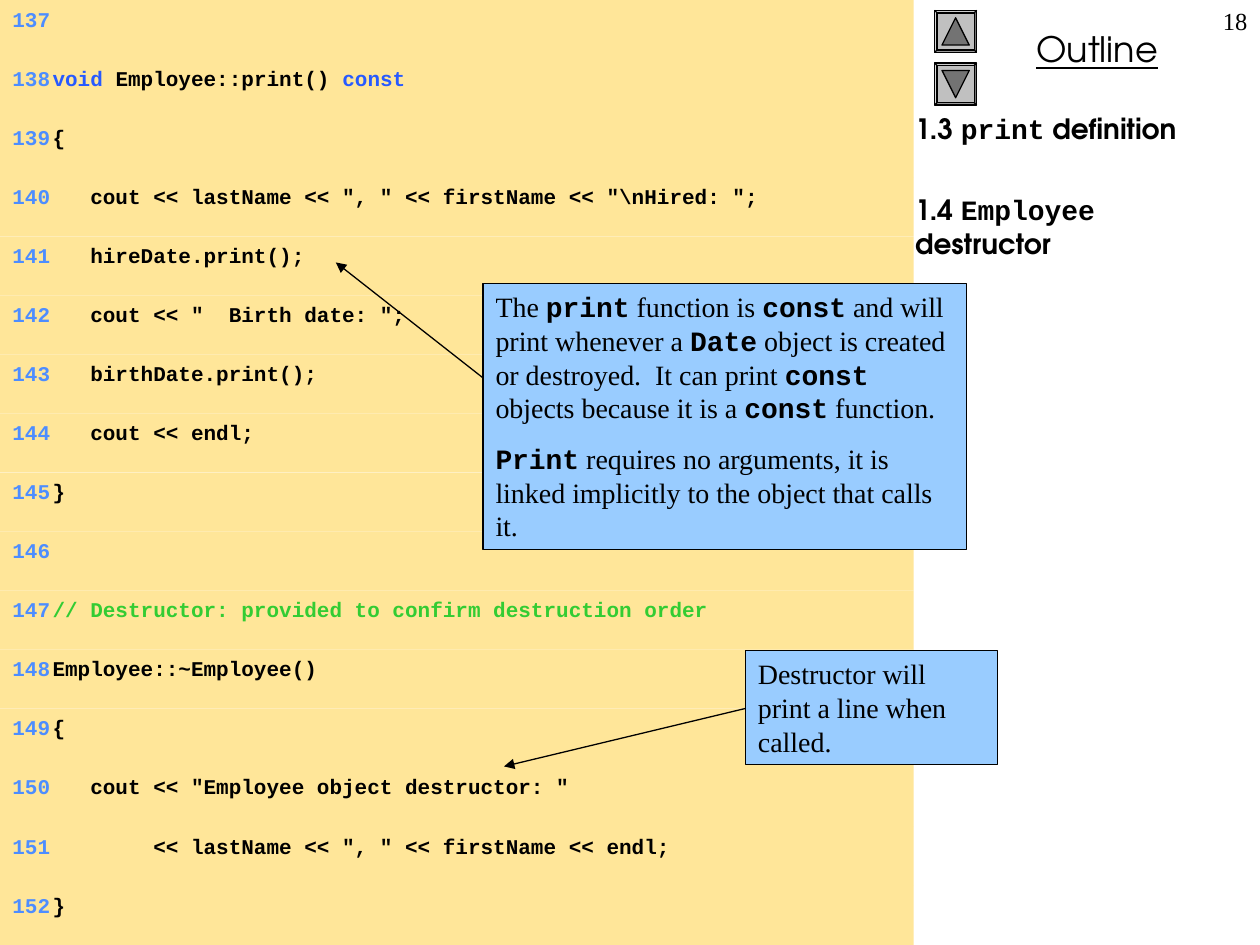
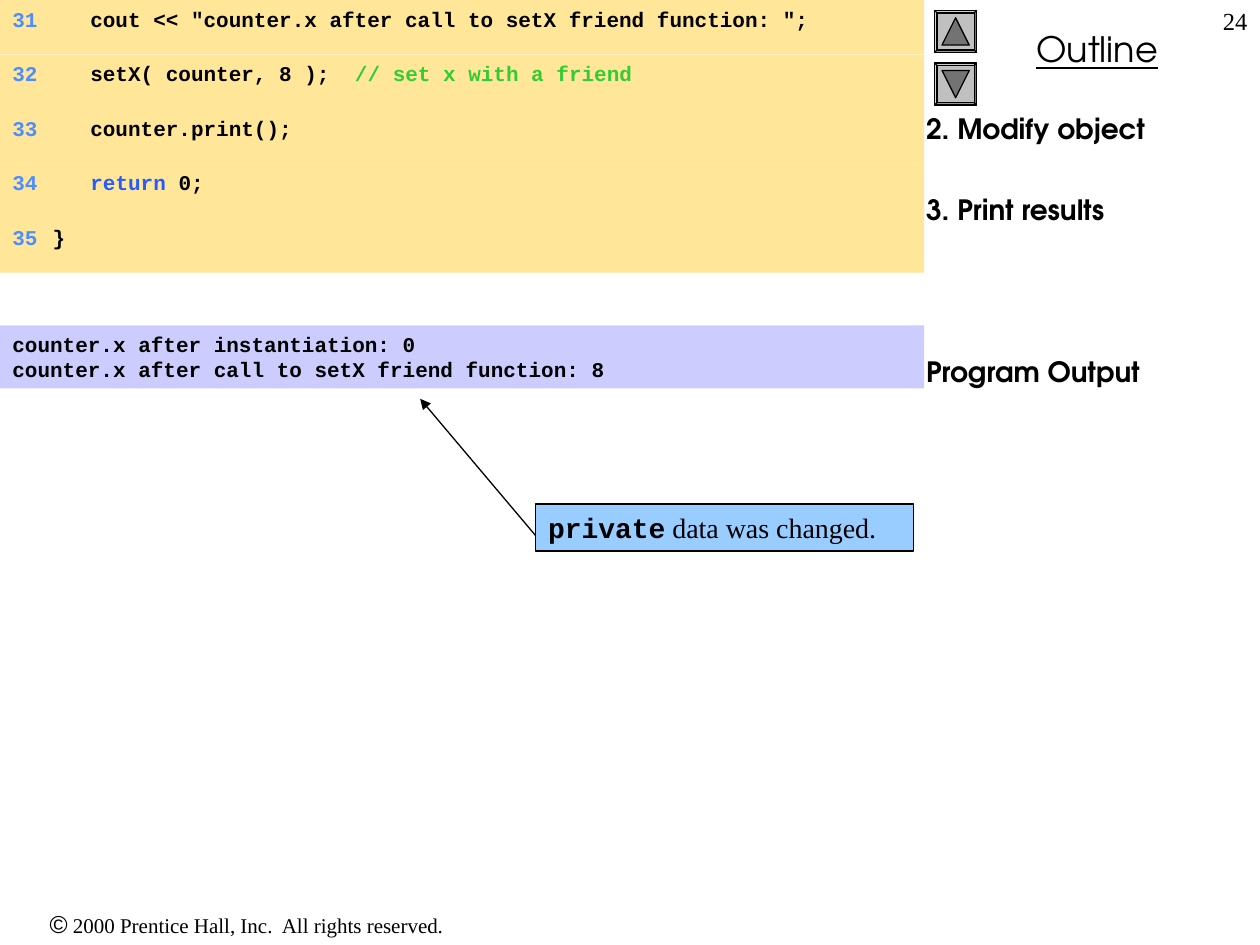
from dataclasses import dataclass, replace

from lxml.etree import SubElement
from pptx import Presentation
from pptx.dml.color import RGBColor
from pptx.enum.shapes import MSO_CONNECTOR, MSO_SHAPE as Shape
from pptx.enum.text import MSO_ANCHOR, MSO_AUTO_SIZE, PP_ALIGN as Align
from pptx.oxml.ns import qn
from pptx.util import Cm, Pt

BLACK, CODE_FILL, OUTPUT_FILL, CALLOUT_FILL = "000000", "FFE699", "CCCCFF", "99CCFF"
BUTTON_FILL, BUTTON_ARROW = "C0C0C0", "737373"
SANS, MONO, SERIF = "TeX Gyre Adventor", "Courier New", "Times New Roman"


@dataclass(frozen=True)
class Style:
    font: str
    size: int
    color: str = BLACK
    bold: bool = False
    underline: bool = False


TITLE = Style(SANS, 20, underline=True)
NOTE = Style(SANS, 16, bold=True)
NOTE_CODE = Style(MONO, 16, bold=True)
CALLOUT = Style(SERIF, 16)
PAGE_NUMBER = Style(SERIF, 14)
COPYRIGHT = Style(SERIF, 12)
COPYRIGHT_SIGN = Style("Arial", 14)
CODE = Style(MONO, 12, bold=True)
LINE_NUMBER = replace(CODE, color="4D8DFF")
KEYWORD = replace(CODE, color="275AFF")
COMMENT = replace(CODE, color="33CC33")

# Boxes are left, top, width, height in centimetres.
TITLE_BOX = (18.84, 0.42, 6.56, 1.12)
NUMBER_BOX = (20.11, 0, 5.29, 1.27)
COPYRIGHT_BOX = (0, 18.21, 9.95, 0.86)
BUTTON_LEFT, BUTTON_SIZE, ARROW_INSET = 18.84, 0.85, 0.15
BUTTONS = [(0.21, 0), (1.27, 180)]  # top, rotation of the triangle
NUMBER_TAB, CODE_TAB = 0.38, 0.81
NOTE_SPACE, NOTE_LINE = 4, 19.2


def rgb(color):
    return RGBColor.from_string(color)


def cm(values):
    return [Cm(value) for value in values]


def add_run(paragraph, text, style):
    if not text:
        return
    run = paragraph.add_run()
    run.text = text
    font = run.font
    font.name, font.size = style.font, Pt(style.size)
    font.bold, font.underline = style.bold, style.underline
    font.color.rgb = rgb(style.color)


def add_marked(paragraph, text, plain, marked):
    """Add text whose parts between backticks take the marked style."""
    for index, part in enumerate(text.split("`")):
        add_run(paragraph, part, marked if index % 2 else plain)


def write(shape, texts, plain, marked=None, align=Align.LEFT, spaces=()):
    """Fill a shape from the top; spaces are the points before each later paragraph."""
    frame = shape.text_frame
    frame.word_wrap = True
    frame.auto_size = MSO_AUTO_SIZE.NONE
    frame.vertical_anchor = MSO_ANCHOR.TOP
    for index, text in enumerate(texts):
        paragraph = frame.add_paragraph() if index else frame.paragraphs[0]
        paragraph.alignment = align
        paragraph.space_before = Pt(spaces[index - 1] if index and spaces else 0)
        add_marked(paragraph, text, plain, marked)


def add_text(slide, box, *args, **options):
    write(slide.shapes.add_textbox(*cm(box)), *args, **options)


def add_shape(slide, kind, box, fill, outlined=False):
    shape = slide.shapes.add_shape(kind, *cm(box))
    shape.shadow.inherit = False
    shape.fill.solid()
    shape.fill.fore_color.rgb = rgb(fill)
    if outlined:
        shape.line.color.rgb = rgb(BLACK)
        shape.line.width = Pt(0.75)
    else:
        shape.line.fill.background()
    return shape


def add_arrow(slide, start, end):
    arrow = slide.shapes.add_connector(MSO_CONNECTOR.STRAIGHT, *cm(start + end))
    arrow.line.color.rgb = rgb(BLACK)
    arrow.line.width = Pt(0.75)
    SubElement(arrow.line._get_or_add_ln(), qn("a:tailEnd"), type="triangle")
    SubElement(arrow._element.spPr, qn("a:effectLst"))


def add_buttons(slide):
    for top, rotation in BUTTONS:
        box = (BUTTON_LEFT, top, BUTTON_SIZE, BUTTON_SIZE)
        bevel = add_shape(slide, Shape.BEVEL, box, BUTTON_FILL, outlined=True)
        bevel.adjustments[0] = 0.06
        side = BUTTON_SIZE - 2 * ARROW_INSET
        box = (BUTTON_LEFT + ARROW_INSET, top + ARROW_INSET, side, side)
        triangle = add_shape(slide, Shape.ISOSCELES_TRIANGLE, box, BUTTON_ARROW, outlined=True)
        triangle.rotation = rotation


def add_outline_slide(presentation, number):
    slide = presentation.slides.add_slide(presentation.slide_layouts[5])
    title = slide.shapes.title
    title.left, title.top, title.width, title.height = cm(TITLE_BOX)
    write(title, ["Outline"], TITLE, align=Align.CENTER)
    add_buttons(slide)
    add_text(slide, NUMBER_BOX, [str(number)], PAGE_NUMBER, align=Align.RIGHT)
    return slide


def add_notes(slide, left, notes, skipped_lines):
    """Add the outline notes, leaving the given number of lines free before each later one."""
    spaces = [NOTE_SPACE + lines * (NOTE_SPACE + NOTE_LINE) for lines in skipped_lines]
    add_text(slide, (left, 2.12, 6.77, 16.93), notes, NOTE, NOTE_CODE, spaces=spaces)


def set_code_tabs(paragraph):
    tabs = SubElement(paragraph._p.get_or_add_pPr(), qn("a:tabLst"))
    for position, align in [(NUMBER_TAB, "r"), (CODE_TAB, "l")]:
        SubElement(tabs, qn("a:tab"), pos=str(Cm(position)), algn=align)


def add_code(slide, box, first_number, lines):
    """Split the box into one equal band per numbered code line."""
    left, top, width, height = box
    row_height = height / len(lines)
    for index, line in enumerate(lines):
        row_box = (left, top + index * row_height, width, row_height)
        row = add_shape(slide, Shape.RECTANGLE, row_box, CODE_FILL)
        write(row, [f"\t{first_number + index}\t"], LINE_NUMBER)
        paragraph = row.text_frame.paragraphs[0]
        set_code_tabs(paragraph)
        code, slashes, comment = line.partition("//")
        add_marked(paragraph, code, CODE, KEYWORD)
        add_run(paragraph, slashes + comment, COMMENT)


def add_callout(slide, box, texts, arrow_start, arrow_end):
    add_arrow(slide, arrow_start, arrow_end)
    callout = add_shape(slide, Shape.RECTANGLE, box, CALLOUT_FILL, outlined=True)
    write(callout, texts, CALLOUT, NOTE_CODE, spaces=[10] * len(texts))


def build_employee_slide(presentation):
    slide = add_outline_slide(presentation, 18)
    add_notes(slide, 18.2, ["1.3 `print` definition", "1.4 `Employee` destructor"], [1])
    add_code(slide, (0, 0, 18.42, 19.05), 137, [
        "",
        "`void` Employee::print() `const`",
        "{",
        '   cout << lastName << ", " << firstName << "\\nHired: ";',
        "   hireDate.print();",
        '   cout << "  Birth date: ";',
        "   birthDate.print();",
        "   cout << endl;",
        "}",
        "",
        "// Destructor: provided to confirm destruction order",
        "Employee::~Employee()",
        "{",
        '   cout << "Employee object destructor: "',
        '        << lastName << ", " << firstName << endl;',
        "}",
    ])
    add_callout(slide, (9.74, 5.72, 9.74, 5.36), [
        "The `print` function is `const` and will print whenever a `Date` object is created "
        "or destroyed.  It can print `const `objects because it is a `const` function.",
        "`Print` requires no arguments, it is linked implicitly to the object that calls it.",
    ], (9.74, 7.62), (6.77, 5.29))
    add_callout(slide, (15.03, 13.12, 5.08, 2.3),
                ["Destructor will print a line when called."], (15.45, 14.18), (10.16, 15.45))


def build_counter_slide(presentation):
    slide = add_outline_slide(presentation, 24)
    add_text(slide, COPYRIGHT_BOX, ["`©` 2000 Prentice Hall, Inc.  All rights reserved."],
             COPYRIGHT, COPYRIGHT_SIGN, align=Align.CENTER)
    add_notes(slide, 18.42, ["2. Modify object", "3. Print results", "Program Output"], [1, 3])
    add_code(slide, (0, 0, 18.63, 5.5), 31, [
        '   cout << "counter.x after call to setX friend function: ";',
        "   setX( counter, 8 );  // set x with a friend",
        "   counter.print();",
        "   `return` 0;",
        "}",
    ])
    output = add_shape(slide, Shape.RECTANGLE, (0, 6.56, 18.63, 1.27), OUTPUT_FILL)
    write(output, ["counter.x after instantiation: 0",
                   "counter.x after call to setX friend function: 8"], CODE)
    add_callout(slide, (10.8, 10.16, 7.62, 0.95), ["`private` data was changed."],
                (10.8, 10.8), (8.47, 8.04))


def main():
    presentation = Presentation()
    presentation.slide_width, presentation.slide_height = Cm(25.4), Cm(19.05)
    build_employee_slide(presentation)
    build_counter_slide(presentation)
    presentation.save("out.pptx")


if __name__ == "__main__":
    main()
